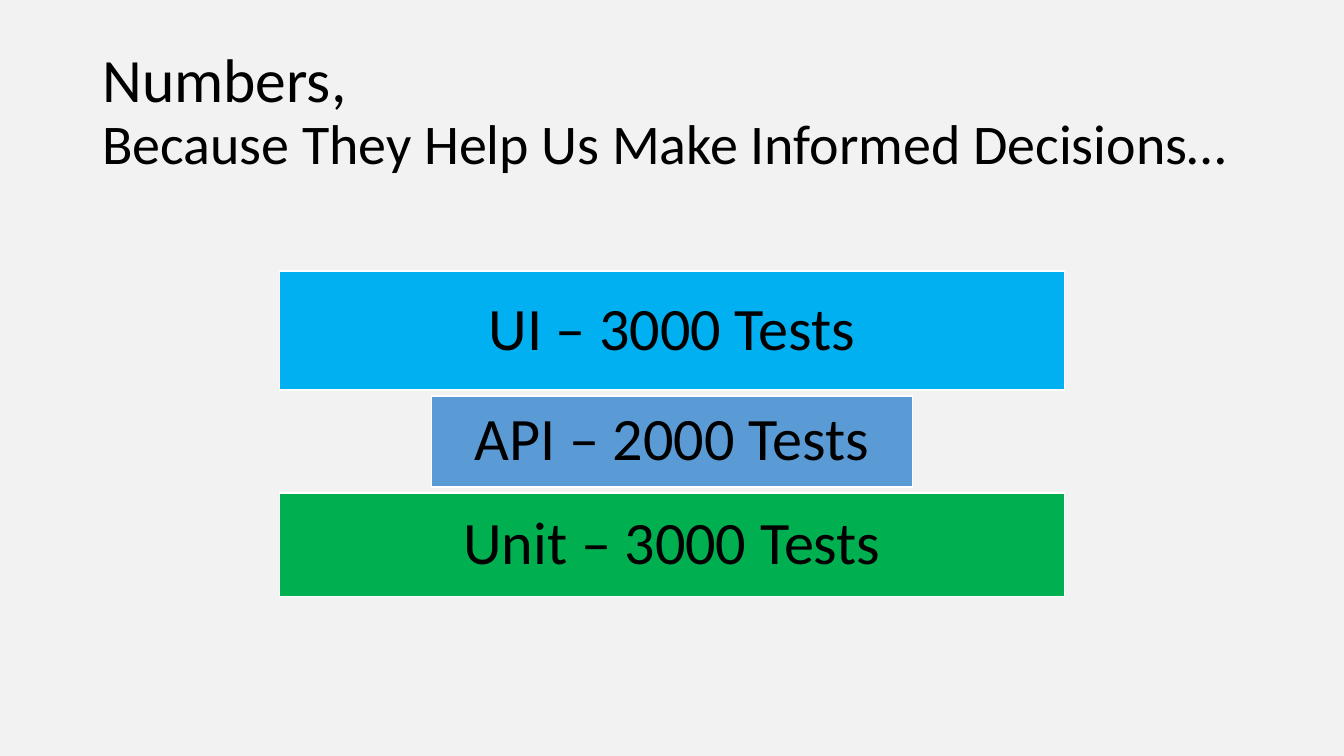
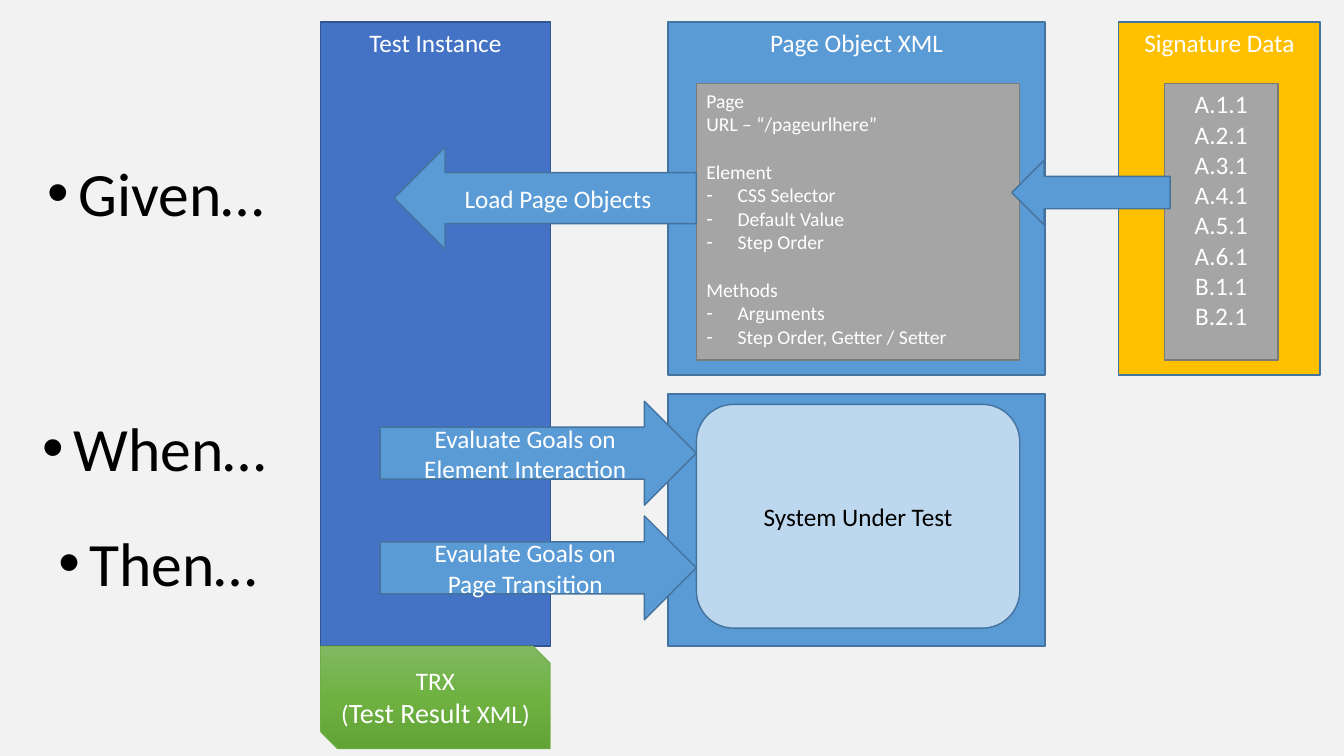
from copy import deepcopy

from lxml import etree
from pptx import Presentation
from pptx.dml.color import RGBColor
from pptx.enum.shapes import MSO_SHAPE as Preset
from pptx.enum.text import MSO_ANCHOR as Anchor, PP_ALIGN as Align
from pptx.oxml.ns import qn
from pptx.util import Cm, Pt

FONT = "Calibri"
COLORS = {
    "background": "F2F2F2", "black": "000000", "white": "FFFFFF",
    "sky": "00B0F0", "blue": "5B9BD5", "blue edge": "43739E",
    "green": "00B050", "royal": "4472C4", "royal edge": "325491",
    "gray": "A5A5A5", "gray edge": "7A7A7A", "gold": "FFC000",
    "pale": "BDD7EE", "leaf": "70AD47",
}
LEAF_GRADIENT = ("81B861", "6FB242", "62A336")
SLIDE_W, SLIDE_H = 33.87, 19.05
HANG = 0.79

# Slide 1: test counts, widest and narrowest layers centred on the slide
TITLE = (("Numbers,", 44), ("Because They Help Us Make Informed Decisions…", 40))
LAYERS = (  # label, color, width, height
    ("UI – 3000 Tests", "sky", 19.79, 3.0),
    ("API – 2000 Tests", "blue", 12.12, 2.29),
    ("Unit – 3000 Tests", "green", 19.79, 2.62),
)
LAYERS_TOP, LAYER_GAP = 6.83, 0.15

# Slide 2: columns (left, width) and rows (top, height)
TEST, PAGE, INNER = (8.08, 5.79), (16.84, 9.5), (17.55, 8.15)
SIGNATURE, SIGNATURE_INNER = (28.19, 5.08), (29.34, 2.87)
UPPER, UPPER_INNER = (0.56, 8.89), (2.11, 6.96)
LOWER, LOWER_INNER = (9.93, 6.35), (10.19, 5.64)
FULL, RESULT = (0.56, 15.72), (16.28, 2.59)
GOAL = (9.58, 7.97)

PAGE_SECTIONS = (  # plain lines, bulleted lines
    (("Page", "URL – “/pageurlhere”"), ()),
    (("Element",), ("CSS Selector", "Default Value", "Step Order")),
    (("Methods",), ("Arguments", "Step Order, Getter / Setter")),
)
SIGNATURES = ("A.1.1", "A.2.1", "A.3.1", "A.4.1", "A.5.1", "A.6.1", "B.1.1", "B.2.1")
RESULT_LINES = ((("TRX", 18),), (("(", 18), ("Test Result ", 20), ("XML)", 18)))
STEPS = (("Given…", 0.94, 3.78), ("When…", 0.81, 10.21), ("Then…", 1.22, 13.11))

PANELS_BACK = (  # preset, column, row, color, edge, lines
    (Preset.RECTANGLE, PAGE, UPPER, "blue", "blue edge", ("Page Object XML",)),
    (Preset.RECTANGLE, INNER, UPPER_INNER, "gray", "gray edge", ()),
    (Preset.RECTANGLE, TEST, FULL, "royal", "royal edge", ("Test Instance",)),
    (Preset.RECTANGLE, PAGE, LOWER, "blue", "blue edge", ()),
    (Preset.RECTANGLE, SIGNATURE, UPPER, "gold", "blue edge", ("Signature Data",)),
    (Preset.RECTANGLE, SIGNATURE_INNER, UPPER_INNER, "gray", "gray edge", SIGNATURES),
)
PANELS_FRONT = (
    (Preset.LEFT_ARROW, (9.93, 7.62), (3.71, 2.57), "blue", "blue edge",
     ("Load Page Objects",)),
    (Preset.RIGHT_ARROW, GOAL, (10.11, 2.62), "blue", "blue edge",
     ("Evaluate Goals on Element Interaction",)),
    (Preset.ROUNDED_RECTANGLE, INNER, LOWER_INNER, "pale", "blue edge",
     ("System Under Test",)),
    (Preset.RIGHT_ARROW, GOAL, (13.0, 2.62), "blue", "blue edge",
     ("Evaulate Goals on", "Page Transition")),
    (Preset.LEFT_ARROW, (25.5, 3.99), (4.04, 1.63), "blue", "blue edge", ()),
)


def rgb(name):
    return RGBColor.from_string(COLORS[name])


def new_slide(deck):
    slide = deck.slides.add_slide(deck.slide_layouts[6])
    fill = slide.background.fill
    fill.solid()
    fill.fore_color.rgb = rgb("background")
    return slide


def add_panel(slide, preset, column, row, color, edge, line_width=1):
    (left, width), (top, height) = column, row
    panel = slide.shapes.add_shape(preset, Cm(left), Cm(top), Cm(width), Cm(height))
    panel.shadow.inherit = False
    panel.fill.solid()
    panel.fill.fore_color.rgb = rgb(color)
    panel.line.color.rgb = rgb(edge)
    panel.line.width = Pt(line_width)
    panel.text_frame.vertical_anchor = (
        Anchor.TOP if preset == Preset.RECTANGLE else Anchor.MIDDLE)
    return panel


def add_text_box(slide, left, top, width, height):
    frame = slide.shapes.add_textbox(Cm(left), Cm(top), Cm(width), Cm(height)).text_frame
    frame.word_wrap = True
    return frame


def write_line(frame, line, size, color="white", align=Align.CENTER, bullet=None):
    """Fill the empty first paragraph, or append one."""
    paragraph = frame.paragraphs[0]
    if paragraph.runs:
        paragraph = frame.add_paragraph()
    paragraph.alignment = align
    if bullet:
        properties = paragraph._p.get_or_add_pPr()
        properties.set("marL", str(Cm(HANG)))
        properties.set("indent", str(-Cm(HANG)))
        etree.SubElement(properties, qn("a:buFont")).set("typeface", "Arial")
        etree.SubElement(properties, qn("a:buChar")).set("char", bullet)
    paragraph.font.name = FONT
    paragraph.font.size = Pt(size)
    paragraph.font.color.rgb = rgb(color)
    paragraph.add_run().text = line
    return paragraph


def add_labelled_panels(slide, panels):
    for *look, lines in panels:
        frame = add_panel(slide, *look).text_frame
        color = "black" if look[0] == Preset.ROUNDED_RECTANGLE else "white"
        for line in lines:
            write_line(frame, line, 18, color)
        if look[1:3] == [INNER, UPPER_INNER]:
            write_page_sections(frame)


def write_page_sections(frame):
    for number, (plain, bulleted) in enumerate(PAGE_SECTIONS):
        for index, line in enumerate(plain):
            paragraph = write_line(frame, line, 14, align=Align.LEFT)
            if number and not index:
                paragraph.space_before = Pt(17)
        for line in bulleted:
            write_line(frame, line, 14, align=Align.LEFT, bullet="-")


def add_result(slide):
    result = add_panel(slide, Preset.SNIP_2_DIAG_RECTANGLE, TEST, RESULT,
                       "leaf", "leaf", 0.5)
    result.fill.gradient()
    result.fill.gradient_angle = 270
    first = result.fill.gradient_stops[0]._gs
    first.addnext(deepcopy(first))
    for index, (stop, color) in enumerate(zip(result.fill.gradient_stops, LEAF_GRADIENT)):
        stop.position = index / 2
        stop.color.rgb = RGBColor.from_string(color)
    for (opening, size), *rest in RESULT_LINES:
        paragraph = write_line(result.text_frame, opening, size)
        for words, run_size in rest:
            run = paragraph.add_run()
            run.text = words
            run.font.size = Pt(run_size)


def build_numbers(deck):
    slide = new_slide(deck)
    title = add_text_box(slide, 2.33, 1.01, 29.21, 3.68)
    title.vertical_anchor = Anchor.MIDDLE
    for line, size in TITLE:
        write_line(title, line, size, "black", Align.LEFT).line_spacing = 0.9
    top = LAYERS_TOP
    for label, color, width, height in LAYERS:
        layer = add_panel(slide, Preset.RECTANGLE, ((SLIDE_W - width) / 2, width),
                          (top, height), color, "white")
        layer.text_frame.vertical_anchor = Anchor.MIDDLE
        write_line(layer.text_frame, label, 43, "black").line_spacing = 0.9
        top += height + LAYER_GAP


def build_test_flow(deck):
    slide = new_slide(deck)
    add_labelled_panels(slide, PANELS_BACK)
    add_result(slide)
    add_labelled_panels(slide, PANELS_FRONT)
    for step, left, top in STEPS:
        frame = add_text_box(slide, left, top, 6.83, 2.13)
        write_line(frame, step, 44, "black", Align.LEFT, "•")


def main():
    deck = Presentation()
    deck.slide_width, deck.slide_height = Cm(SLIDE_W), Cm(SLIDE_H)
    build_numbers(deck)
    build_test_flow(deck)
    deck.save("out.pptx")


if __name__ == "__main__":
    main()
